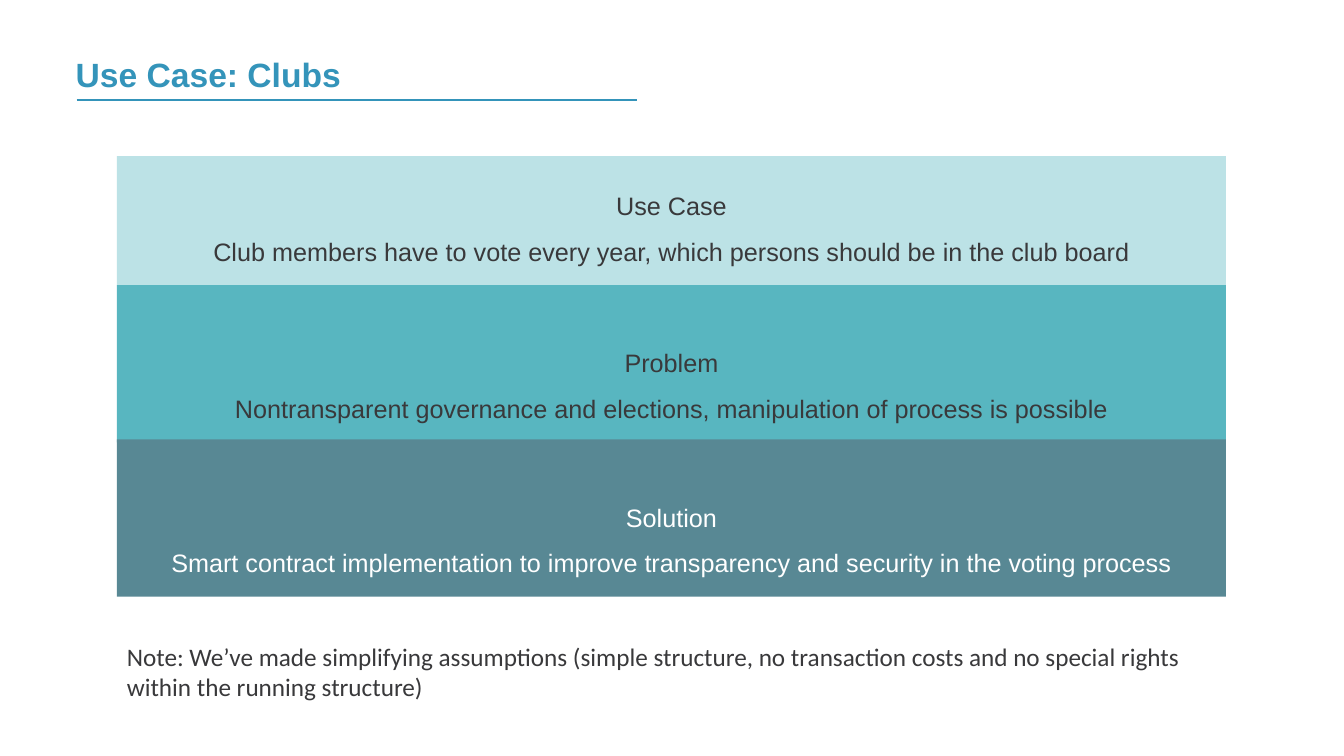
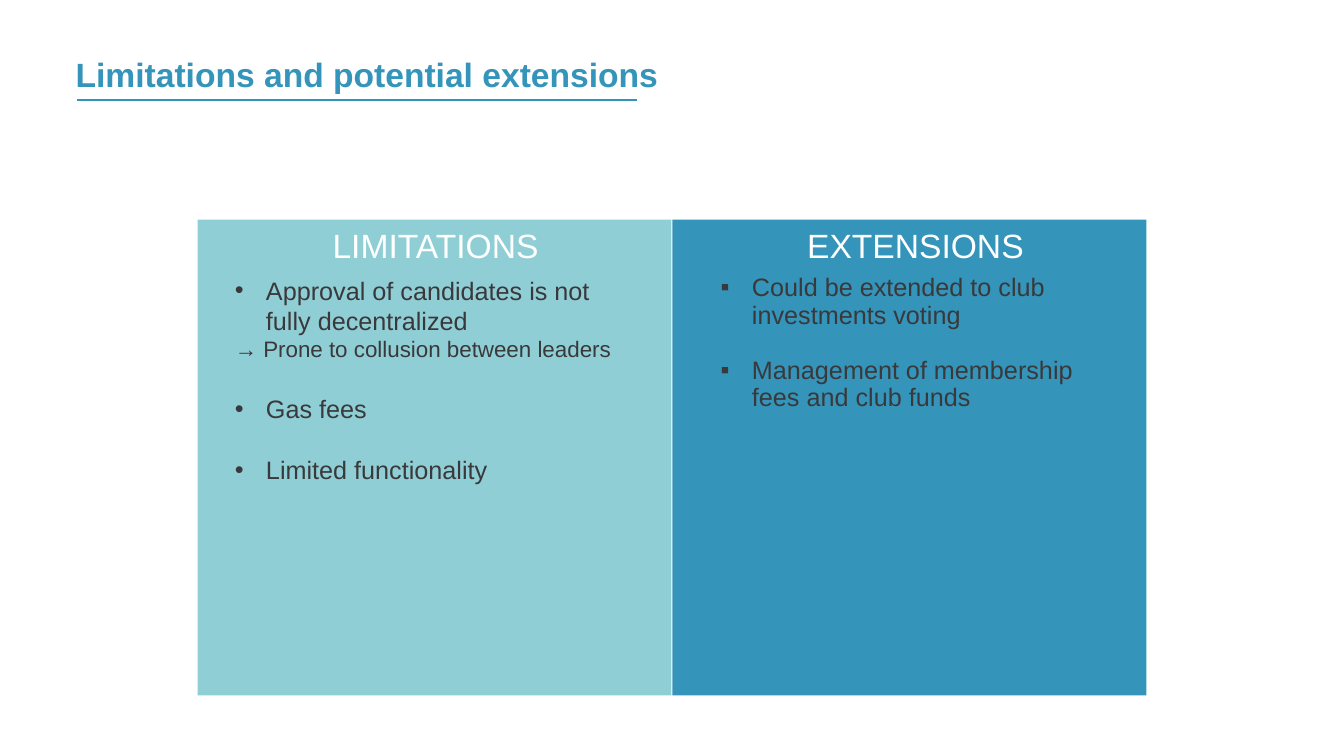
from pptx import Presentation
from pptx.dml.color import RGBColor
from pptx.enum.shapes import MSO_CONNECTOR as LINE, MSO_SHAPE as SHAPE
from pptx.enum.text import MSO_ANCHOR as ANCHOR, MSO_AUTO_SIZE as FIT, PP_ALIGN as ALIGN
from pptx.oxml.ns import qn
from pptx.util import Inches, Pt
from lxml import etree

BLUE = RGBColor(0x34, 0x94, 0xBA)
TEAL = RGBColor(0x58, 0xB6, 0xC0)
PALE = RGBColor(0xBC, 0xE2, 0xE6)
SLATE = RGBColor(0x58, 0x88, 0x94)
DARK = RGBColor(0x39, 0x39, 0x3B)
WHITE = RGBColor(0xFF, 0xFF, 0xFF)


def style(para, size, color, font="Arial", bold=False, align=ALIGN.LEFT, space=1.0):
    para.alignment = align
    para.line_spacing = space
    for run in para.runs:
        run.font.name = font
        run.font.size = Pt(size)
        run.font.bold = bold
        run.font.color.rgb = color


def add_slide(deck, text):
    slide = deck.slides.add_slide(deck.slide_layouts[5])
    rule = slide.shapes.add_connector(
        LINE.STRAIGHT, Inches(0.76), Inches(0.99), Inches(6.32), Inches(0.99))
    rule.line.color.rgb = BLUE
    rule.line.width = Pt(1.5)
    etree.SubElement(rule._element.spPr, qn("a:effectLst"))
    title = slide.shapes.title
    title.left, title.top = Inches(0.65), Inches(0.48)
    title.width, title.height = Inches(11.59), Inches(0.5)
    frame = title.text_frame
    frame.text = text
    frame.auto_size = FIT.NONE
    frame.vertical_anchor = ANCHOR.TOP
    style(frame.paragraphs[0], 24, BLUE, bold=True)
    return slide


def add_rect(slide, left, top, width, height, color, alpha=None):
    rect = slide.shapes.add_shape(
        SHAPE.RECTANGLE, Inches(left), Inches(top), Inches(width), Inches(height))
    rect.shadow.inherit = False
    rect.line.fill.background()
    rect.fill.solid()
    rect.fill.fore_color.rgb = color
    if alpha:
        tone = rect._element.spPr.find(qn("a:solidFill"))[0]
        etree.SubElement(tone, qn("a:alpha"), val=str(alpha * 1000))
    return rect


def add_band(slide, top, height, fill, color, inset, lines):
    frame = add_rect(slide, 1.16, top, 11, height, fill).text_frame
    frame.word_wrap = True
    frame.margin_top = Inches(inset)
    frame.vertical_anchor = ANCHOR.MIDDLE
    frame.text = "\n".join(lines)
    for para in frame.paragraphs:
        style(para, 18, color, align=ALIGN.CENTER, space=1.5)


def add_text(slide, left, top, width, height, text):
    box = slide.shapes.add_textbox(
        Inches(left), Inches(top), Inches(width), Inches(height))
    frame = box.text_frame
    frame.word_wrap = True
    frame.text = text
    return frame.paragraphs


def add_bullet(para, mark):
    props = para._p.get_or_add_pPr()
    props.set("marL", str(Inches(0.31)))
    props.set("indent", str(-Inches(0.31)))
    etree.SubElement(props, qn("a:buFont"), typeface="Arial")
    etree.SubElement(props, qn("a:buChar"), char=mark)


def add_list(slide, left, width, height, mark, space, items):
    paras = add_text(slide, left, 2.68, width, height, "\n".join(items))
    for i, para in enumerate(paras):
        note = para.text.startswith("→")
        style(para, 16 if note else 18, DARK, space=space)
        if not note:
            para.space_before = Pt(22 * space if i else 0)
            add_bullet(para, mark)


def add_head(slide, left, text):
    para = add_text(slide, left, 2.18, 4.18, 0.5, text)[0]
    style(para, 24, WHITE, align=ALIGN.CENTER)


def build_case(deck):
    slide = add_slide(deck, "Use Case: Clubs")
    bands = [
        (1.55, 1.28, PALE, DARK, 0.05, (
            "Use Case",
            "Club members have to vote every year, which persons should be in the club board")),
        (2.83, 1.56, TEAL, DARK, 0.33, (
            "Problem",
            "Nontransparent governance and elections, manipulation of process is possible")),
        (4.36, 1.56, SLATE, WHITE, 0.33, (
            "Solution",
            "Smart contract implementation to improve transparency and security in the voting process")),
    ]
    for band in bands:
        add_band(slide, *band)
    note = add_text(
        slide, 1.16, 6.31, 11, 1.01,
        "Note: We’ve made simplifying assumptions (simple structure, no transaction costs "
        "and no special rights within the running structure)")[0]
    style(note, 18, DARK, font="Calibri")


def build_limits(deck):
    slide = add_slide(deck, "Limitations and potential extensions")
    add_rect(slide, 1.96, 2.18, 4.7, 4.72, TEAL, alpha=66)
    add_rect(slide, 6.67, 2.18, 4.7, 4.72, BLUE)
    add_head(slide, 2.23, "LIMITATIONS")
    add_head(slide, 6.99, "EXTENSIONS")
    add_list(slide, 2.23, 4.18, 2.19, "•", 1.0, (
        "Approval of candidates is not fully decentralized",
        "→ Prone to collusion between leaders",
        "Gas fees",
        "Limited functionality"))
    add_list(slide, 7.05, 4.05, 1.46, "▪", 0.9, (
        "Could be extended to club investments voting",
        "Management of membership fees and club funds"))


def main():
    deck = Presentation()
    deck.slide_width, deck.slide_height = Inches(13.33), Inches(7.5)
    build_case(deck)
    build_limits(deck)
    deck.save("out.pptx")


if __name__ == "__main__":
    main()
